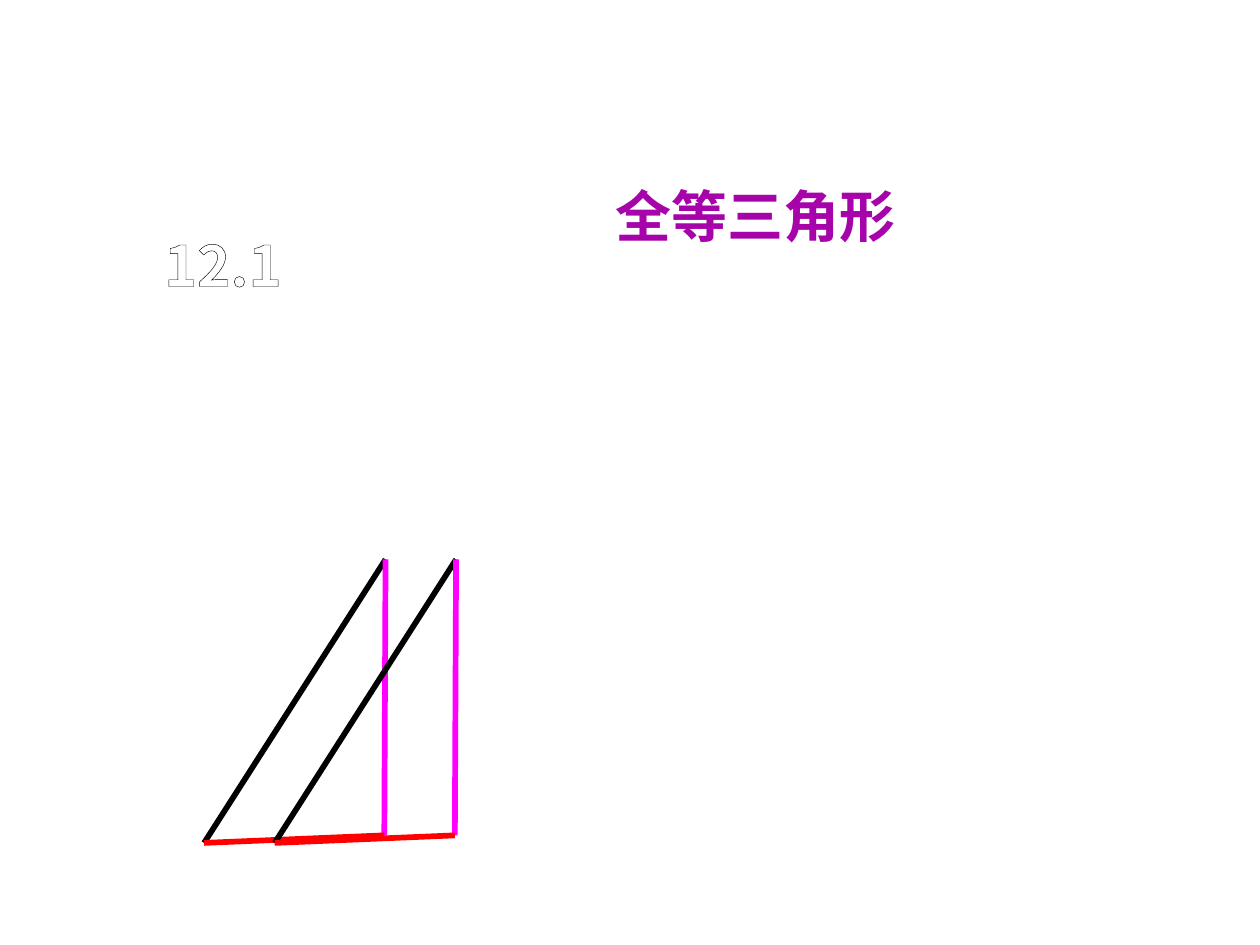
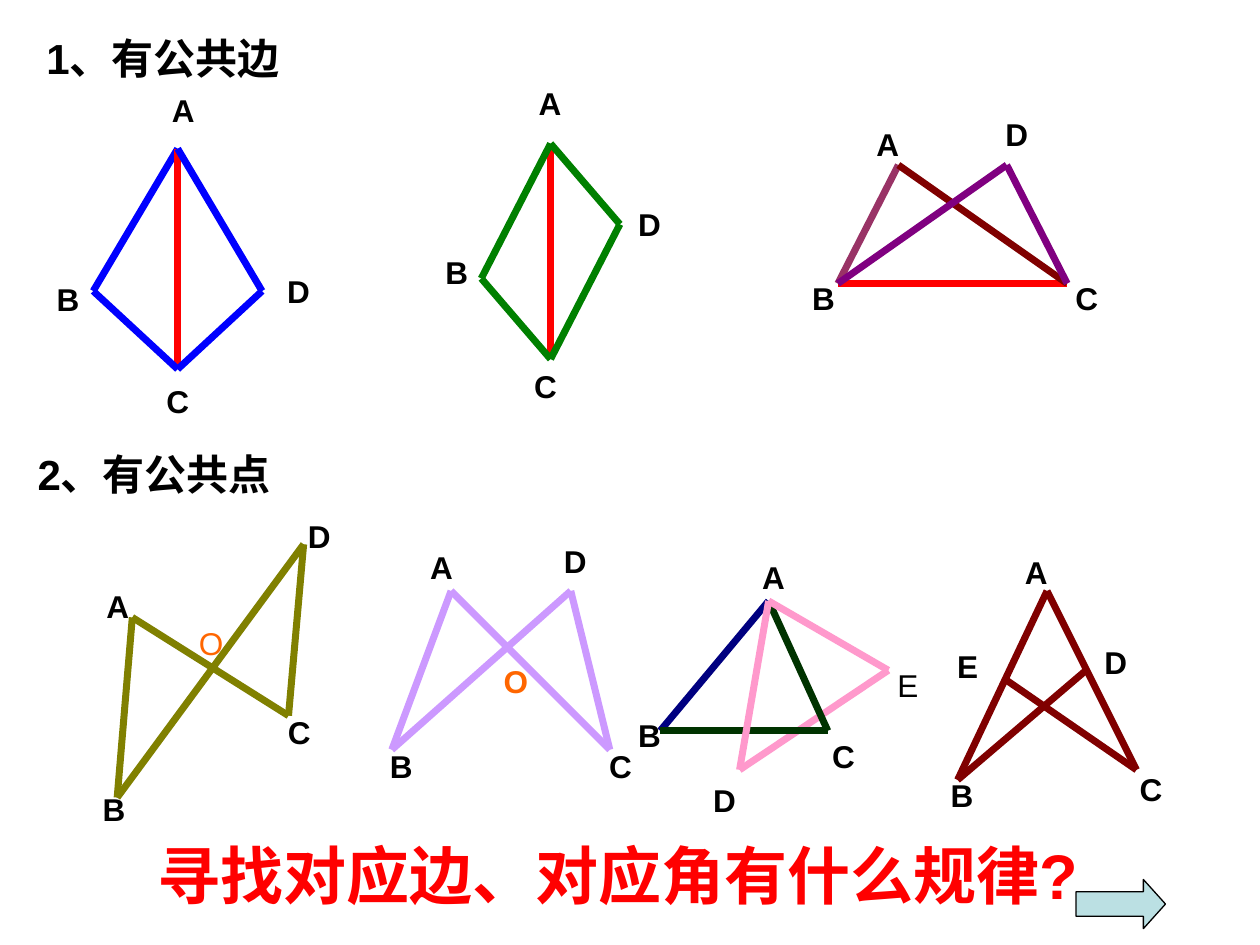
"""Build two slides about congruent triangles and their common figures."""
import dataclasses
import typing

import lxml.etree
import pptx
import pptx.dml.color
import pptx.enum.shapes
import pptx.enum.text
import pptx.oxml.ns
import pptx.util

EMU_PER_PX = 9144
FONT = "Arial"
CJK_FONT = "Noto Sans CJK SC"
COLORS = {
    "black": "000000", "white": "FFFFFF", "silver": "EAEAEA", "title": "A603AB",
    "red": "FF0000", "magenta": "FF00FF", "blue": "0000FF", "green": "008000",
    "plum": "993366", "maroon": "800000", "purple": "800080", "olive": "808000",
    "orange": "FF6600", "lilac": "CC99FF", "pink": "FF99CC", "navy": "000080",
    "forest": "003300", "arrow": "BBE0E3",
}
ALIGN = pptx.enum.text.PP_ALIGN
ANCHOR = pptx.enum.text.MSO_ANCHOR
AUTO = pptx.enum.text.MSO_AUTO_SIZE


class Box(typing.NamedTuple):
    x: int
    y: int
    w: int
    h: int


@dataclasses.dataclass(frozen=True)
class Label:
    text: str
    box: Box
    color: str = "black"
    bold: bool = True


@dataclasses.dataclass(frozen=True)
class Figure:
    points: dict[str, tuple[int, int]]
    edges: list[tuple[str, str]]
    labels: list[Label] = dataclasses.field(default_factory=list)
    width: float = 4


TRIANGLE = {"A": (306, 444), "B": (162, 669), "C": (305, 663)}
TRIANGLE_SHIFT = 56

COMMON_SIDE = [
    Figure(
        {"A": (141, 118), "B": (74, 231), "C": (141, 293), "D": (208, 231)},
        [("blue", "AB"), ("red", "AC"), ("blue", "BC AD DC")],
        [Label("A", Box(131, 68, 29, 38)), Label("B", Box(35, 206, 38, 63)),
         Label("C", Box(122, 293, 38, 50)), Label("D", Box(218, 206, 38, 50))],
    ),
    Figure(
        {"A": (437, 114), "B": (382, 221), "C": (437, 285), "D": (492, 178)},
        [("red", "AC"), ("green", "AB BC CD DA")],
        [Label("A", Box(421, 60, 31, 43)), Label("B", Box(343, 189, 39, 54)),
         Label("C", Box(421, 285, 24, 43)), Label("D", Box(500, 146, 31, 64))],
    ),
    Figure(
        {"A": (713, 131), "B": (665, 225), "C": (847, 225), "D": (799, 131)},
        [("red", "BC"), ("plum", "BA"), ("maroon", "AC"), ("purple", "DC DB")],
        [Label("A", Box(689, 99, 31, 31)), Label("B", Box(634, 217, 39, 39)),
         Label("C", Box(847, 217, 31, 39)), Label("D", Box(791, 91, 32, 31))],
    ),
]

COMMON_POINT = [
    Figure(
        {"A": (105, 490), "B": (93, 633), "C": (229, 568), "D": (241, 432)},
        [("olive", "AC DB AB DC")],
        [Label("A", Box(81, 465, 25, 32)), Label("B", Box(75, 626, 31, 32)),
         Label("C", Box(210, 568, 55, 26)), Label("D", Box(235, 406, 37, 39)),
         Label("O", Box(155, 497, 25, 26), "orange", False)],
    ),
    Figure(
        {"A": (358, 469), "B": (311, 595), "C": (484, 595), "D": (453, 469)},
        [("lilac", "DB BA AC DC")],
        [Label("A", Box(319, 430, 63, 39)), Label("B", Box(295, 580, 47, 55)),
         Label("C", Box(461, 580, 63, 55)), Label("D", Box(421, 422, 71, 47)),
         Label("O", Box(390, 517, 39, 47), "orange")],
    ),
    Figure(
        {"A": (831, 469), "B": (760, 619), "C": (902, 611), "D": (862, 532),
         "E": (799, 540)},
        [("maroon", "AC AB CE BD")],
        [Label("A", Box(799, 438, 47, 31)), Label("B", Box(744, 603, 39, 55)),
         Label("C", Box(894, 603, 39, 47)), Label("D", Box(870, 509, 31, 32)),
         Label("E", Box(752, 509, 32, 39))],
    ),
    Figure(
        {"A": (610, 477), "B": (524, 580), "C": (657, 580), "D": (587, 611),
         "E": (705, 532)},
        [("pink", "ED"), ("navy", "AB"), ("forest", "AC CB"), ("pink", "AD AE")],
        [Label("A", Box(602, 446, 24, 24)), Label("B", Box(500, 564, 31, 39)),
         Label("D", Box(563, 627, 24, 16)), Label("C", Box(650, 580, 39, 39)),
         Label("E", Box(697, 524, 47, 39), bold=False)],
    ),
]


def px(value: int) -> pptx.util.Emu:
    """Turn a length in px into EMU."""
    return pptx.util.Emu(value * EMU_PER_PX)


def rgb(name: str) -> pptx.dml.color.RGBColor:
    """Look up a named colour."""
    return pptx.dml.color.RGBColor.from_string(COLORS[name])


def outline_run(r, color: str, width: float) -> None:
    """Draw an outline round the letters of a run."""
    ln = lxml.etree.Element(pptx.oxml.ns.qn("a:ln"), w=str(pptx.util.Pt(width)))
    fill = lxml.etree.SubElement(ln, pptx.oxml.ns.qn("a:solidFill"))
    lxml.etree.SubElement(fill, pptx.oxml.ns.qn("a:srgbClr"), val=COLORS[color])
    r.font._element.insert(0, ln)


def write(sp, text: str, *, size: int = 18, color: str = "black", bold: bool = True,
          font: str = FONT, align=ALIGN.CENTER, anchor=ANCHOR.TOP, wrap: bool = False,
          grow: bool = False, outline: tuple[str, float] | None = None) -> None:
    """Fill a shape with one formatted paragraph."""
    tf = sp.text_frame
    tf.auto_size = AUTO.SHAPE_TO_FIT_TEXT if grow else AUTO.NONE
    tf.word_wrap = wrap
    tf.vertical_anchor = anchor
    p = tf.paragraphs[0]
    p.alignment = align
    r = p.add_run()
    r.text = text
    r.font.size = pptx.util.Pt(size)
    r.font.bold = bold
    r.font.color.rgb = rgb(color)
    r.font.name = font
    ea = lxml.etree.Element(pptx.oxml.ns.qn("a:ea"), typeface=CJK_FONT)
    r.font._element.find(pptx.oxml.ns.qn("a:latin")).addnext(ea)
    if outline:
        outline_run(r, *outline)


def add_text(shapes, box: Box, text: str, **style) -> None:
    """Add a text box."""
    write(shapes.add_textbox(*map(px, box)), text, **style)


def set_title(s, box: Box, text: str, **style) -> None:
    """Place and fill the title placeholder."""
    sp = s.shapes.title
    sp.left, sp.top, sp.width, sp.height = map(px, box)
    write(sp, text, **style)


def add_figure(s, fig: Figure) -> None:
    """Draw the edges and labels of a figure as one group."""
    shapes = s.shapes.add_group_shape().shapes
    for color, pairs in fig.edges:
        for start, end in pairs.split():
            ends = map(px, fig.points[start] + fig.points[end])
            line = shapes.add_connector(pptx.enum.shapes.MSO_CONNECTOR.STRAIGHT, *ends)
            line.line.color.rgb = rgb(color)
            line.line.width = pptx.util.Pt(fig.width)
            lxml.etree.SubElement(line._element.spPr, pptx.oxml.ns.qn("a:effectLst"))
    for label in fig.labels:
        add_text(shapes, label.box, label.text, color=label.color, bold=label.bold,
                 anchor=ANCHOR.MIDDLE)


def add_arrow(s, box: Box) -> None:
    """Draw the arrow that leads onward."""
    sp = s.shapes.add_shape(pptx.enum.shapes.MSO_SHAPE.RIGHT_ARROW, *map(px, box))
    sp.adjustments[1] = 0.45
    sp.shadow.inherit = False
    sp.fill.solid()
    sp.fill.fore_color.rgb = rgb("arrow")
    sp.line.color.rgb = rgb("black")
    sp.line.width = pptx.util.Pt(0.75)


def build_cover(s) -> None:
    """Build the lesson title with two shifted triangles."""
    set_title(s, Box(265, 139, 669, 291), "全等三角形", size=32, color="title",
              font=CJK_FONT, outline=("silver", 1))
    add_text(s.shapes, Box(59, 178, 236, 229), "12.1", size=32, color="white",
             font=CJK_FONT, outline=("black", 0.75))
    for shift in (0, TRIANGLE_SHIFT):
        points = {name: (x + shift, y) for name, (x, y) in TRIANGLE.items()}
        edges = [("black", "AB"), ("magenta", "CA"), ("red", "CB")]
        add_figure(s, Figure(points, edges, width=3.25))


def build_patterns(s) -> None:
    """Build the figures with a common side or a common point."""
    set_title(s, Box(109, 659, 762, 70), "寻找对应边、对应角有什么规律?", size=36,
              color="red", grow=True)
    sections = [(Box(27, 21, 268, 50), "1、有公共边", COMMON_SIDE),
                (Box(20, 351, 268, 50), "2、有公共点", COMMON_POINT)]
    for box, heading, figures in sections:
        add_text(s.shapes, box, heading, size=24, align=ALIGN.LEFT, wrap=True, grow=True)
        for fig in figures:
            add_figure(s, fig)
    add_arrow(s, Box(854, 698, 71, 39))


def main() -> None:
    """Build and save the presentation."""
    prs = pptx.Presentation()
    prs.slide_width, prs.slide_height = px(1000), px(750)
    for build in (build_cover, build_patterns):
        build(prs.slides.add_slide(prs.slide_layouts.get_by_name("Title Only")))
    prs.save("out.pptx")


if __name__ == "__main__":
    main()
